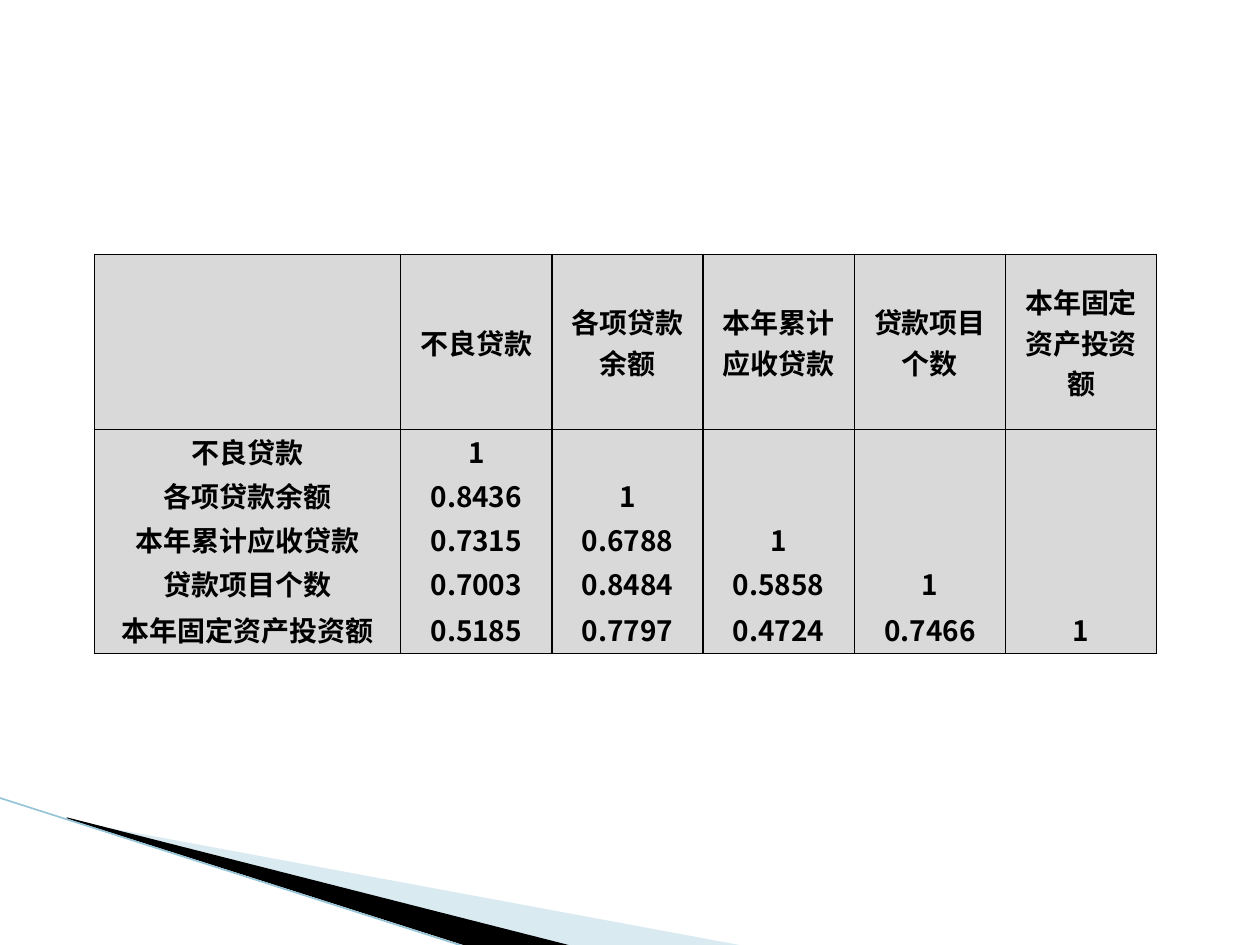
from lxml import etree
from pptx import Presentation
from pptx.dml.color import RGBColor
from pptx.enum.shapes import MSO_CONNECTOR
from pptx.enum.text import MSO_ANCHOR, PP_ALIGN
from pptx.oxml.ns import qn
from pptx.util import Pt

CENTER = PP_ALIGN.CENTER
MIDDLE = MSO_ANCHOR.MIDDLE
STRAIGHT = MSO_CONNECTOR.STRAIGHT

# Content: correlation matrix, lower triangle
HEADERS = ["", "不良贷款", "各项贷款\n余额", "本年累计\n应收贷款",
           "贷款项目\n个数", "本年固定\n资产投资额"]
CORRELATIONS = [
    ["1"],
    ["0.8436", "1"],
    ["0.7315", "0.6788", "1"],
    ["0.7003", "0.8484", "0.5858", "1"],
    ["0.5185", "0.7797", "0.4724", "0.7466", "1"],
]
LABEL_FONT, NUMBER_FONT = "Times New Roman", "Noto Sans CJK SC"
TEXT_SIZE = 16

# Layout in points
TABLE_LEFT, TABLE_TOP = 54, 145.4
COL_WIDTHS = [175] + [86.4] * 5
ROW_HEIGHTS = [100] + [25.2] * 4 + [27.4]

# Corner decoration: points, colour, opacity in percent
WEDGES = [
    ([(39.6, 468.7), (428.4, 540.7), (328.3, 540.7), (39.6, 468)], "A0CBDC", 40),
    ([(38.2, 467.3), (329, 540.7), (267.8, 541.4), (38.9, 468)], "000000", 100),
]
EDGE = (-0.7, 455.8, 267.1, 541.4)


def rgb(value):
    return RGBColor.from_string(value)


def add_wedge(s, points, color, opacity):
    builder = s.shapes.build_freeform(*points[0], scale=Pt(1))
    builder.add_line_segments(points[1:], close=True)
    sp = builder.convert_to_shape()
    sp.shadow.inherit = False
    sp.line.fill.background()
    sp.fill.solid()
    sp.fill.fore_color.rgb = rgb(color)
    if opacity < 100:
        clr = sp._element.spPr.find(qn("a:solidFill"))[0]
        etree.SubElement(clr, qn("a:alpha"), val=str(opacity * 1000))


def set_borders(cell, drawn):
    """Draw a black 1 pt line on the named sides, and none on the others."""
    tcPr = cell._tc.get_or_add_tcPr()
    for side in "LRTB":
        ln = etree.SubElement(tcPr, qn("a:ln" + side), w=str(Pt(1)))
        if side in drawn:
            fill = etree.SubElement(ln, qn("a:solidFill"))
            etree.SubElement(fill, qn("a:srgbClr"), val="000000")
        else:
            etree.SubElement(ln, qn("a:noFill"))


def fill_cell(cell, text, font, borders):
    set_borders(cell, borders)
    cell.fill.solid()
    cell.fill.fore_color.rgb = rgb("D9D9D9")
    cell.vertical_anchor = MIDDLE
    cell.margin_left = cell.margin_right = Pt(5)
    cell.margin_top = cell.margin_bottom = 0
    cell.text_frame.text = text
    for p in cell.text_frame.paragraphs:
        p.alignment = CENTER
        for r in p.runs:
            r.font.name = font
            r.font.size = Pt(TEXT_SIZE)
            r.font.bold = True
            r.font.color.rgb = rgb("000000")
            etree.SubElement(r._r.rPr, qn("a:ea"), typeface=NUMBER_FONT)
        if not p.runs:
            etree.SubElement(p._p, qn("a:endParaRPr"), sz=str(TEXT_SIZE * 100))


prs = Presentation()
prs.slide_width, prs.slide_height = Pt(720), Pt(540)
s = prs.slides.add_slide(prs.slide_layouts[6])

# Corner decoration
for wedge in WEDGES:
    add_wedge(s, *wedge)
edge = s.shapes.add_connector(STRAIGHT, *[Pt(v) for v in EDGE])
edge.line.color.rgb = rgb("97C5D8")
edge.line.width = Pt(0.95)
etree.SubElement(edge._element.spPr, qn("a:effectLst"))

# Correlation table; row labels are the headers on one line
rows = [HEADERS] + [
    [label.replace("\n", "")] + values + [""] * (len(HEADERS) - 1 - len(values))
    for label, values in zip(HEADERS[1:], CORRELATIONS)
]
table = s.shapes.add_table(len(rows), len(HEADERS), Pt(TABLE_LEFT), Pt(TABLE_TOP),
                           Pt(sum(COL_WIDTHS)), Pt(sum(ROW_HEIGHTS))).table
table.first_row = table.horz_banding = False
for col, width in zip(table.columns, COL_WIDTHS):
    col.width = Pt(width)
for row, height in zip(table.rows, ROW_HEIGHTS):
    row.height = Pt(height)

last = len(rows) - 1
for i, row in enumerate(rows):
    borders = "LR" + ("T" if i <= 1 else "") + ("B" if i in (0, last) else "")
    for j, text in enumerate(row):
        font = LABEL_FONT if i == 0 or j == 0 else NUMBER_FONT
        fill_cell(table.cell(i, j), text, font, borders)

prs.save("out.pptx")
